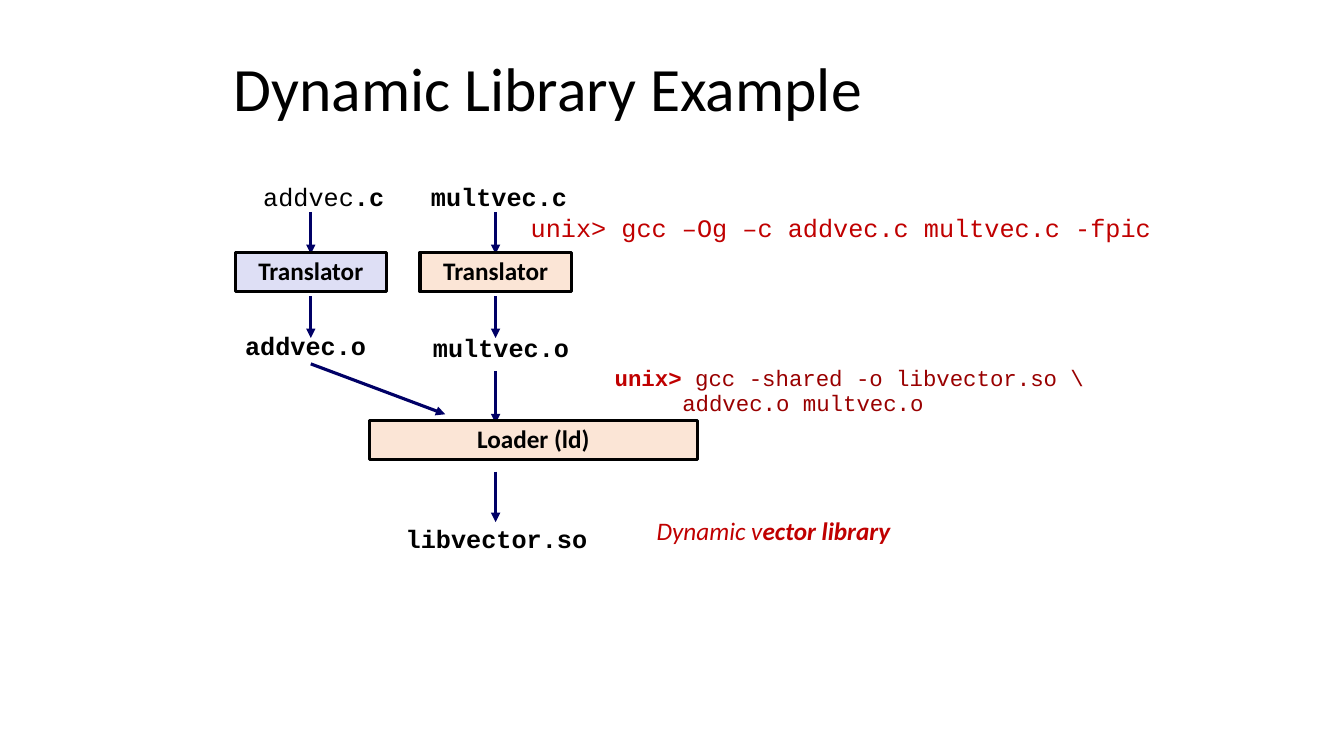
import pptx
import pptx.util
import pptx.dml.color
import pptx.enum.shapes
import pptx.enum.text
import pptx.oxml.ns
from lxml import etree

Inches, Pt = pptx.util.Inches, pptx.util.Pt
RGBColor = pptx.dml.color.RGBColor
ALIGN, ANCHOR = pptx.enum.text.PP_ALIGN, pptx.enum.text.MSO_ANCHOR

BLACK = RGBColor(0x00, 0x00, 0x00)
NAVY = RGBColor(0x00, 0x00, 0x66)
RED = RGBColor(0xC0, 0x00, 0x00)
DARK_RED = RGBColor(0x99, 0x00, 0x00)
LAVENDER = RGBColor(0xDE, 0xDF, 0xF5)
PEACH = RGBColor(0xFB, 0xE5, 0xD6)
SANS, MONO = "Calibri", "Courier New"

SLIDE_W, SLIDE_H = 13.33, 7.5
COL_W = SLIDE_W / 160   # grid column
ROW_H = SLIDE_H / 90    # grid row
LINE_H = 0.39           # height of a one-line box


def add_run(p, text, size, font, color=BLACK, bold=False, italic=False):
    r = p.add_run()
    r.text = text
    r.font.size, r.font.name = Pt(size), font
    r.font.bold, r.font.italic = bold, italic
    r.font.color.rgb = color


def add_text(s, box, lines, size=18, font=MONO, spacing=0.94,
             wrap=False, anchor=ANCHOR.TOP):
    """Each line is a list of (text, color, bold, italic) runs."""
    tb = s.shapes.add_textbox(*map(Inches, box))
    tf = tb.text_frame
    tf.word_wrap, tf.vertical_anchor = wrap, anchor
    for i, runs in enumerate(lines):
        p = tf.paragraphs[0] if i == 0 else tf.add_paragraph()
        p.line_spacing = spacing
        for text, color, bold, italic in runs:
            add_run(p, text, size, font, color, bold, italic)
    return tf


def add_tool(s, box, label, fill):
    sp = s.shapes.add_shape(pptx.enum.shapes.MSO_SHAPE.RECTANGLE, *map(Inches, box))
    sp.shadow.inherit = False
    sp.fill.solid()
    sp.fill.fore_color.rgb = fill
    sp.line.color.rgb, sp.line.width = BLACK, Pt(2.25)
    p = sp.text_frame.paragraphs[0]
    p.alignment, p.line_spacing = ALIGN.CENTER, 0.98
    add_run(p, label, 18, SANS, bold=True)


def add_arrow(s, x1, y1, x2, y2):
    c = s.shapes.add_connector(pptx.enum.shapes.MSO_CONNECTOR.STRAIGHT,
                               *map(Inches, (x1, y1, x2, y2)))
    c.line.color.rgb, c.line.width = NAVY, Pt(2.25)
    qn = pptx.oxml.ns.qn
    etree.SubElement(c.line._get_or_add_ln(), qn("a:tailEnd"), type="triangle")
    etree.SubElement(c._element.spPr, qn("a:effectLst"))


def add_title(s, box):
    add_text(s, box, [[("Dynamic Library Example", BLACK, False, False)]],
             44, SANS, 0.9, True, ANCHOR.MIDDLE)


def add_translation(s, box, source, target, fill, source_at, target_at):
    """Source file, translator and object file, from top to bottom."""
    x, y, w, h = box
    mid = x + w / 2
    for runs, (dx, dy) in ((source, source_at), (target, target_at)):
        width = 0.2 + 0.15 * sum(len(run[0]) for run in runs)
        add_text(s, (x + dx, y + dy, width, LINE_H), [runs])
    for row in (4, 14):
        add_arrow(s, mid, y + row * ROW_H, mid, y + (row + 5) * ROW_H)
    add_tool(s, (x, y + 8.8 * ROW_H, w, LINE_H), "Translator", fill)


def add_linking(s, box, first_x, second_x):
    """Arrows from both object files into the loader, then the library."""
    x, y, w, h = box
    loader_y = y + 0.56
    add_arrow(s, first_x, y, x + 0.75, y + 0.5)
    add_arrow(s, second_x, y + 0.07, second_x, loader_y + 0.03)
    add_tool(s, (x, loader_y, w, LINE_H), "Loader (ld)", PEACH)
    add_arrow(s, second_x, loader_y + 0.51, second_x, loader_y + 1.01)
    add_text(s, (x + 0.26, y + h - LINE_H, 2.01, LINE_H),
             [[("libvector.so", BLACK, True, False)]])


def add_notes_column(s, box):
    """Commands and caption to the right of the flow."""
    x, y, w, h = box
    add_text(s, (x, y, w, LINE_H),
             [[("unix> gcc –Og –c addvec.c multvec.c -fpic", RED, False, False)]],
             wrap=True)
    tf = add_text(s, (x + 10 * COL_W, y + 18 * ROW_H, 4.92, 0.61),
                  [[("unix> ", RED, True, False),
                    ("gcc -shared -o libvector.so \\", DARK_RED, False, False)],
                   [("addvec.o multvec.o", DARK_RED, False, False)]], 16)
    # Continuation line is indented by five characters
    tf.paragraphs[1]._p.get_or_add_pPr().set("marL", str(Inches(0.67)))
    add_text(s, (x + 15 * COL_W, y + 36 * ROW_H, 3.25, 0.4),
             [[("Dynamic v", RED, False, True), ("ector library", RED, True, True)]],
             font=SANS, spacing=0.98, wrap=True)


def main():
    prs = pptx.Presentation()
    prs.slide_width, prs.slide_height = Inches(SLIDE_W), Inches(SLIDE_H)
    s = prs.slides.add_slide(prs.slide_layouts[6])

    add_title(s, (2.22, 0.48, 9.53, 0.86))

    # Two translations side by side
    left, top, w, h = 28 * COL_W, 1.77, 18 * COL_W, 1.89
    step = 22 * COL_W
    add_translation(s, (left, top, w, h),
                    [("addvec", BLACK, False, False), (".c", BLACK, True, False)],
                    [("addvec.o", BLACK, True, False)],
                    LAVENDER, (0.18, 0), (0, 1.48))
    add_translation(s, (left + step, top, w, h),
                    [("multvec.c", BLACK, True, False)],
                    [("multvec.o", BLACK, True, False)],
                    PEACH, (0.01, 0), (0.03, 1.5))

    # Loader and annotations
    first_x = left + w / 2
    add_linking(s, (44 * COL_W, 3.61, 39 * COL_W, 1.95), first_x, first_x + step)
    add_notes_column(s, (62 * COL_W, 2.08, 77 * COL_W, 3.4))
    prs.save("out.pptx")


if __name__ == "__main__":
    main()
